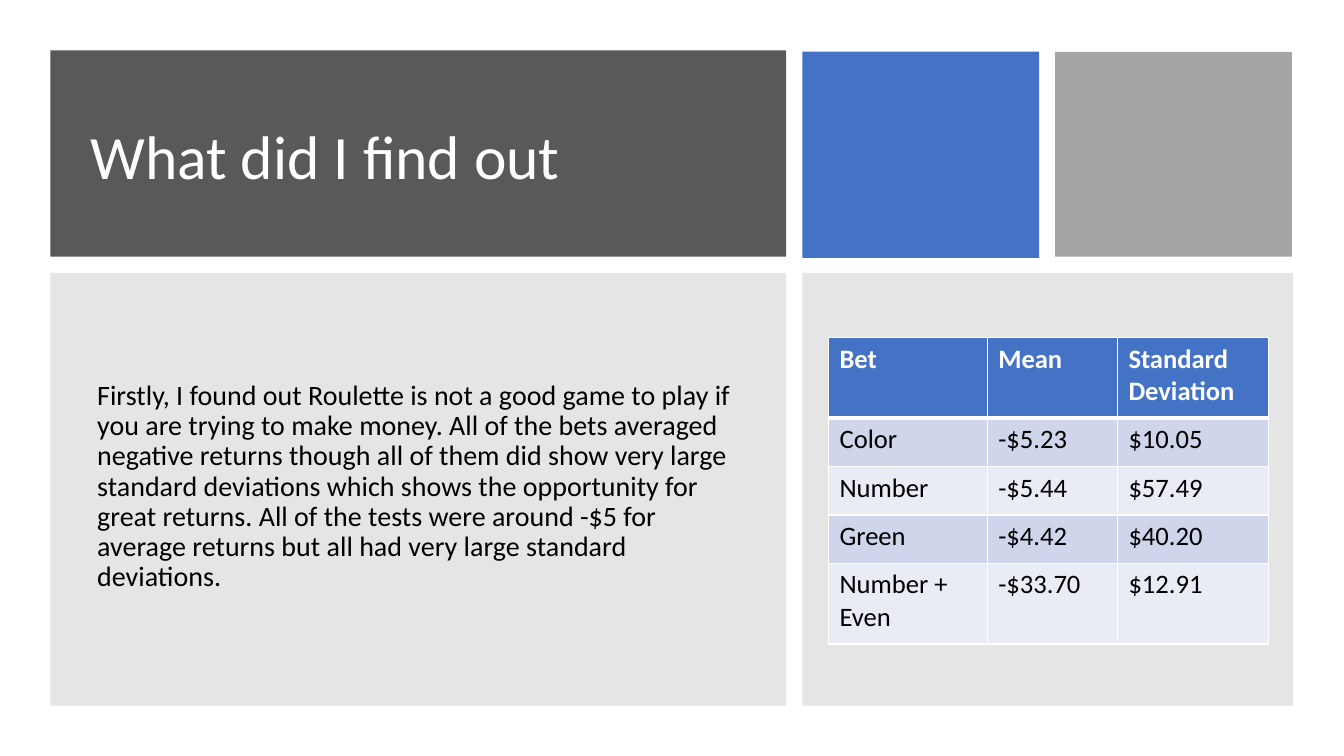
from lxml.etree import SubElement
from pptx import Presentation
from pptx.dml.color import RGBColor
from pptx.enum.shapes import MSO_SHAPE
from pptx.enum.text import MSO_ANCHOR
from pptx.oxml import parse_xml
from pptx.oxml.ns import nsdecls, qn
from pptx.util import Cm, Pt

WHITE = RGBColor(0xFF, 0xFF, 0xFF)
BLACK = RGBColor(0x00, 0x00, 0x00)
CHARCOAL = RGBColor(0x59, 0x59, 0x59)
BLUE = RGBColor(0x44, 0x72, 0xC4)
SILVER = RGBColor(0xA5, 0xA5, 0xA5)
GREY = RGBColor(0x80, 0x80, 0x80)
DARK_BAND = RGBColor(0xCF, 0xD5, 0xEA)
LIGHT_BAND = RGBColor(0xE9, 0xEB, 0xF5)


def set_font(paragraph, **values):
    paragraph.font.name = "Calibri"
    color = values.pop("color")
    for name, value in values.items():
        setattr(paragraph.font, name, value)
    paragraph.font.color.rgb = color


presentation = Presentation()
presentation.slide_width = Cm(33.87)
presentation.slide_height = Cm(19.05)
slide = presentation.slides.add_slide(presentation.slide_layouts[6])

panels = [
    (1.27, 1.27, 18.54, 5.2, CHARCOAL, None),
    (20.22, 1.3, 5.97, 5.2, BLUE, None),
    (26.59, 1.31, 5.97, 5.16, SILVER, None),
    (1.27, 6.88, 18.54, 10.9, GREY, 20000),
    (20.22, 6.88, 12.37, 10.9, GREY, 20000),
]
for left, top, width, height, color, alpha in panels:
    shape = slide.shapes.add_shape(
        MSO_SHAPE.RECTANGLE, Cm(left), Cm(top), Cm(width), Cm(height))
    shape.shadow.inherit = False
    shape.fill.solid()
    shape.fill.fore_color.rgb = color
    shape.line.fill.background()
    if alpha:
        fill_color = shape.fill._xPr.find(qn("a:solidFill"))[0]
        SubElement(fill_color, qn("a:alpha"), val=str(alpha))

finding = (
    "Firstly, I found out Roulette is not a good game to play if you are trying "
    "to make money. All of the bets averaged negative returns though all of them "
    "did show very large standard deviations which shows the opportunity for great "
    "returns. All of the tests were around -$5 for average returns but all had very "
    "large standard deviations."
)
texts = [
    (2.03, 2.03, 16.92, 3.96, "What did I find out", 44, WHITE),
    (2.2, 7.54, 16.76, 9.47, finding, 20, BLACK),
]
for left, top, width, height, text, size, color in texts:
    frame = slide.shapes.add_textbox(
        Cm(left), Cm(top), Cm(width), Cm(height)).text_frame
    frame.word_wrap = True
    frame.vertical_anchor = MSO_ANCHOR.MIDDLE
    paragraph = frame.paragraphs[0]
    paragraph.text = text
    paragraph.line_spacing = 0.9
    set_font(paragraph, size=Pt(size), color=color)

bets = [
    ("Bet", "Mean", "Standard Deviation"),
    ("Color", "-$5.23", "$10.05"),
    ("Number", "-$5.44", "$57.49"),
    ("Green", "-$4.42", "$40.20"),
    ("Number + Even", "-$33.70", "$12.91"),
]
column_widths = [4, 3.28, 3.81]
row_heights = [2.03, 1.22, 1.22, 1.22, 2.03]
table = slide.shapes.add_table(
    len(bets), len(column_widths), Cm(20.88), Cm(8.51),
    Cm(sum(column_widths)), Cm(sum(row_heights))).table
for column, width in zip(table.columns, column_widths):
    column.width = Cm(width)
for row, height in zip(table.rows, row_heights):
    row.height = Cm(height)

for row_index, bet in enumerate(bets):
    header = row_index == 0
    band = BLUE if header else DARK_BAND if row_index % 2 else LIGHT_BAND
    border_widths = {
        "lnL": 1, "lnR": 1,
        "lnT": 3 if row_index == 1 else 1,
        "lnB": 3 if header else 1,
    }
    for column_index, text in enumerate(bet):
        cell = table.cell(row_index, column_index)
        margins = {"margin_left": 0.28, "margin_right": 0.28,
                   "margin_top": 0.13, "margin_bottom": 0.13}
        for name, value in margins.items():
            setattr(cell, name, Cm(value))
        cell.fill.solid()
        cell.fill.fore_color.rgb = band
        paragraph = cell.text_frame.paragraphs[0]
        paragraph.text = text
        set_font(paragraph, size=Pt(19), bold=header,
                 color=WHITE if header else BLACK)
        properties = cell._tc.get_or_add_tcPr()
        for position, (side, width) in enumerate(border_widths.items()):
            properties.insert(position, parse_xml(
                f'<a:{side} {nsdecls("a")} w="{Pt(width)}"><a:solidFill>'
                f'<a:srgbClr val="{WHITE}"/></a:solidFill></a:{side}>'))

presentation.save("out.pptx")
